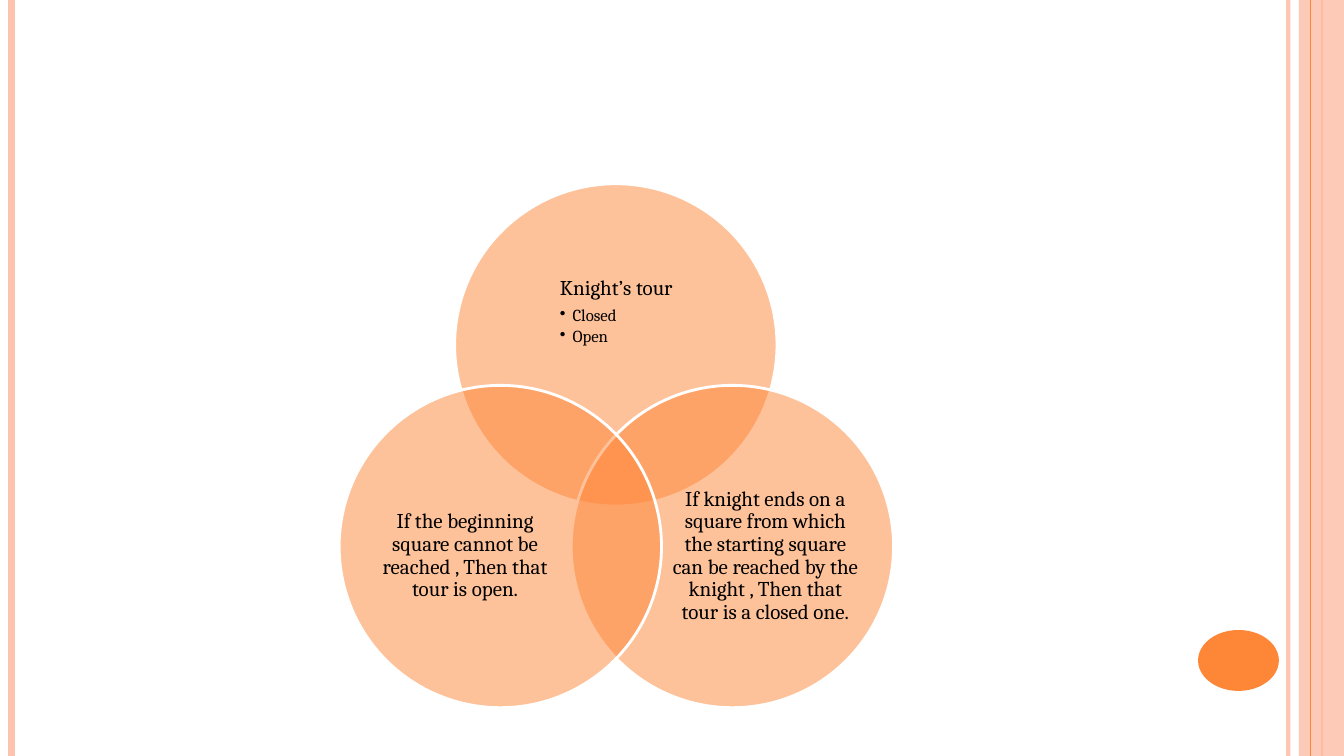
"""Build the Knight's tour Venn diagram slide."""
from lxml import etree
from pptx import Presentation
from pptx import util as u
from pptx.dml.color import RGBColor
from pptx.enum import shapes, text
from pptx.oxml import ns

PX = 9525
WIDTH, HEIGHT = 1280, 720
DIAMETER = 307
FONT = "Cambria"
COLOURS = {
    "orange": "FE8637",
    "peach": "FEC3AE",
    "white": "FFFFFF",
    "black": "000000",
}


def px(*lengths):
    """Turn whole pixels into EMU."""
    return [u.Emu(length * PX) for length in lengths]


def paint(fill, colour, opacity=100):
    """Apply a solid colour, with an alpha value when it is not opaque."""
    fill.solid()
    fill.fore_color.rgb = RGBColor.from_string(COLOURS[colour])
    if opacity < 100:
        tone = fill._xPr.find(".//" + ns.qn("a:srgbClr"))
        etree.SubElement(tone, ns.qn("a:alpha"), val=str(opacity * 1000))


def add_stripe(page, x, weight, colour, opacity=100):
    """Draw a vertical line over the full height of the page."""
    stripe = page.shapes.add_connector(
        shapes.MSO_CONNECTOR.STRAIGHT, *px(x, 0, x, HEIGHT))
    stripe.line.width = u.Pt(weight)
    paint(stripe.line.fill, colour, opacity)
    etree.SubElement(stripe._element.spPr, ns.qn("a:effectLst"))


def add_figure(page, kind, frame, colour, opacity=100, outline=None):
    """Draw a filled preset shape with an optional outline colour."""
    figure = page.shapes.add_shape(kind, *px(*frame))
    figure.shadow.inherit = False
    paint(figure.fill, colour, opacity)
    if outline:
        paint(figure.line.fill, outline)
        figure.line.width = u.Pt(2)
    else:
        figure.line.fill.background()


def add_text(page, frame, lines, align="LEFT", centre_block=False):
    """Add a text box; every line after the first is a bullet."""
    box = page.shapes.add_textbox(*px(*frame))
    body = box.text_frame
    body.word_wrap = True
    body.vertical_anchor = text.MSO_ANCHOR.MIDDLE
    body.margin_left = body.margin_right = 0
    body.margin_top = body.margin_bottom = 0
    if centre_block:
        body._txBody.bodyPr.set("anchorCtr", "1")
    for index, line in enumerate(lines):
        para = body.add_paragraph() if index else body.paragraphs[0]
        para.alignment = text.PP_ALIGN[align]
        para.line_spacing = 0.9
        para.space_after = u.Pt(2 if index else 5)
        span = para.add_run()
        span.text = line
        span.font.name = FONT
        span.font.size = u.Pt(12 if index else 15)
        span.font.color.rgb = RGBColor.from_string(COLOURS["black"])
        if index:
            add_bullet(para)


def add_bullet(para):
    """Give a paragraph a hanging round bullet."""
    para.level = 1
    settings = para._p.get_or_add_pPr()
    indent = px(12)[0]
    settings.set("marL", str(indent))
    settings.set("indent", str(-indent))
    etree.SubElement(settings, ns.qn("a:buChar"), char="•")


def add_frame(page):
    """Draw the stripes and the page marker at the slide edges."""
    oval = shapes.MSO_SHAPE.OVAL
    add_stripe(page, 1227, 3, "peach", 93)
    add_stripe(page, 11, 4.5, "peach")
    add_stripe(page, 1259, 1.5, "orange")
    band = (1237, 0, WIDTH - 1237, HEIGHT)
    add_figure(page, shapes.MSO_SHAPE.RECTANGLE, band, "peach", 87)
    add_stripe(page, 1248, 0.75, "orange")
    add_figure(page, oval, (1141, 600, 77, 58), "orange")


def add_venn(page):
    """Draw the three overlapping circles with their texts."""
    closed = ("If knight ends on a square from which the starting square "
              "can be reached by the knight , Then that tour is a closed one.")
    opened = ("If the beginning square cannot be reached , "
              "Then that tour is open.")
    topics = [
        (433, 175, (474, 228, 226, 138), ["Knight’s tour", "Closed", "Open"],
         {"centre_block": True}),
        (544, 367, (637, 445, 184, 169), [closed], {"align": "CENTER"}),
        (323, 367, (351, 445, 184, 169), [opened], {"align": "CENTER"}),
    ]
    for left, top, frame, lines, layout in topics:
        circle = (left, top, DIAMETER, DIAMETER)
        add_figure(page, shapes.MSO_SHAPE.OVAL, circle, "orange", 50, "white")
        add_text(page, frame, lines, **layout)


def main():
    """Create the deck and save it."""
    deck = Presentation()
    deck.slide_width, deck.slide_height = px(WIDTH, HEIGHT)
    page = deck.slides.add_slide(deck.slide_layouts[6])
    paint(page.background.fill, "white")
    add_frame(page)
    add_venn(page)
    deck.save("out.pptx")


if __name__ == "__main__":
    main()
